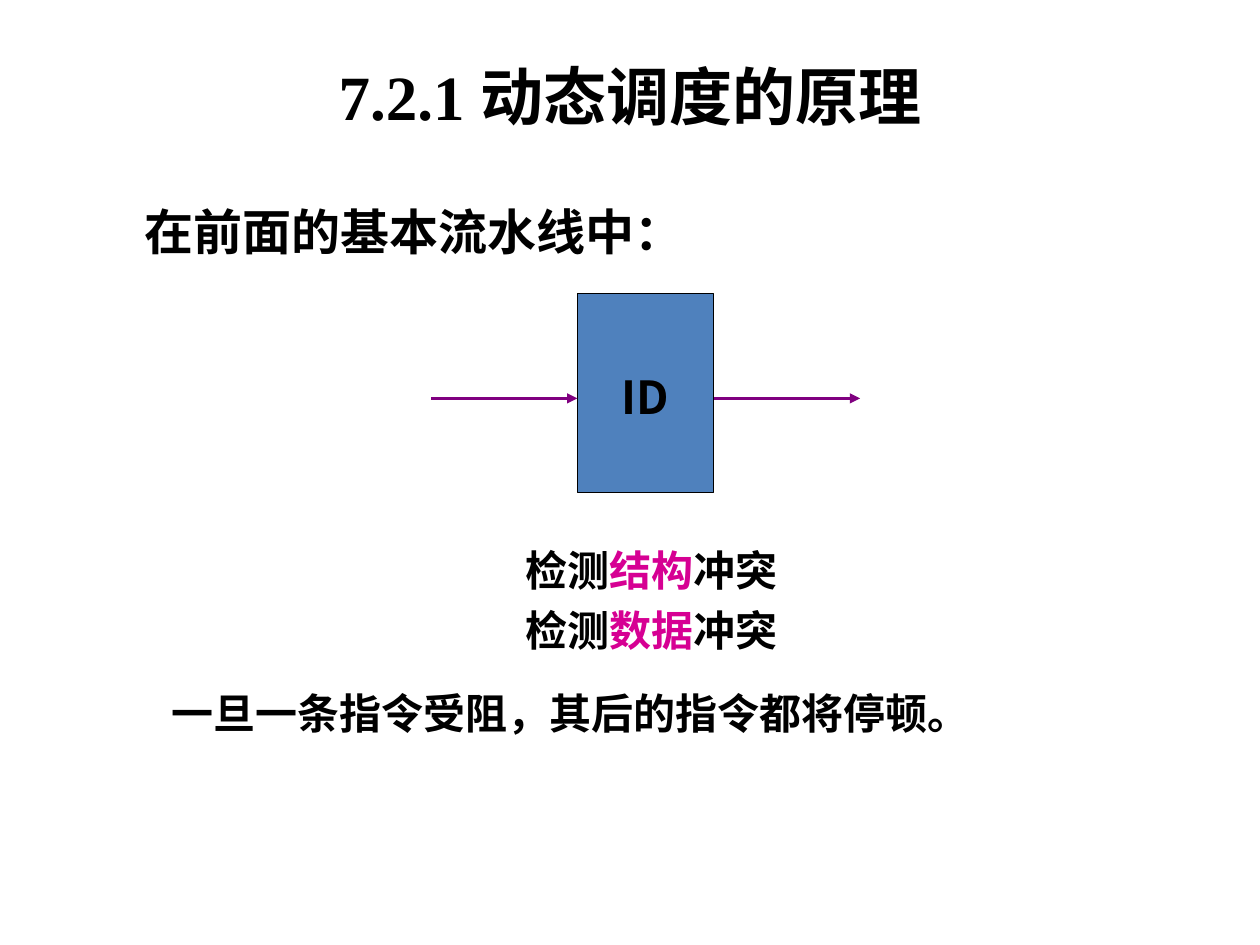
from dataclasses import dataclass

from lxml import etree
from pptx import Presentation
from pptx.dml.color import RGBColor
from pptx.enum.shapes import MSO_CONNECTOR, MSO_SHAPE
from pptx.enum.text import MSO_ANCHOR, PP_ALIGN
from pptx.oxml.ns import qn
from pptx.util import Cm, Pt

STRAIGHT = MSO_CONNECTOR.STRAIGHT
RECTANGLE = MSO_SHAPE.RECTANGLE
TOP, MIDDLE = MSO_ANCHOR.TOP, MSO_ANCHOR.MIDDLE
LEFT, CENTER = PP_ALIGN.LEFT, PP_ALIGN.CENTER


@dataclass(frozen=True)
class Theme:
    ink: str = "000000"
    accent: str = "D60093"
    stage: str = "4F81BD"
    arrow: str = "800080"
    title_size: int = 36
    lead_size: int = 28
    stage_size: int = 26
    note_size: int = 24
    title_font: str = "Times New Roman"
    heading_font: str = "Arial"
    lead_font: str = "Calibri"
    note_font: str = "Roboto"
    cjk_font: str = "Noto Sans CJK SC"


THEME = Theme()


def add_text(slide, paragraphs, box, *, size, font, align=LEFT, anchor=TOP,
             spacing=1.0, inset=0.25):
    """Each paragraph is a list of (text, format overrides) runs."""
    frame = slide.shapes.add_textbox(*map(Cm, box)).text_frame
    frame.word_wrap = True
    frame.vertical_anchor = anchor
    frame.margin_left = Cm(inset)
    for index, runs in enumerate(paragraphs):
        paragraph = frame.paragraphs[0] if index == 0 else frame.add_paragraph()
        paragraph.alignment = align
        paragraph.line_spacing = spacing
        for text, overrides in runs:
            run = paragraph.add_run()
            run.text = text
            run.font.size = Pt(size)
            run.font.bold = True
            run.font.name = overrides.get("font", font)
            run.font.color.rgb = RGBColor.from_string(
                overrides.get("color", THEME.ink))
            # East Asian typeface
            east_asian = etree.SubElement(run.font._element, qn("a:ea"))
            east_asian.set("typeface", THEME.cjk_font)


def add_stage(slide, box):
    stage = slide.shapes.add_shape(RECTANGLE, *map(Cm, box))
    stage.shadow.inherit = False
    stage.fill.solid()
    stage.fill.fore_color.rgb = RGBColor.from_string(THEME.stage)
    stage.line.color.rgb = RGBColor.from_string(THEME.ink)
    stage.line.width = Pt(0.75)


def add_arrow(slide, start, end, level):
    arrow = slide.shapes.add_connector(
        STRAIGHT, Cm(start), Cm(level), Cm(end), Cm(level))
    arrow.line.color.rgb = RGBColor.from_string(THEME.arrow)
    arrow.line.width = Pt(1.5)
    properties = arrow._element.spPr
    head = etree.SubElement(properties.find(qn("a:ln")), qn("a:tailEnd"))
    head.set("type", "triangle")
    etree.SubElement(properties, qn("a:effectLst"))


def main():
    deck = Presentation()
    deck.slide_width, deck.slide_height = Cm(25.4), Cm(19.05)
    slide = deck.slides.add_slide(deck.slide_layouts[6])

    # Lead-in
    add_text(slide, [[("在前面的基本流水线中：", {})]], (2.67, 3.94, 13, 1.6),
             size=THEME.lead_size, font=THEME.lead_font)

    # Decode stage with its input and output
    stage_left, stage_width, arrow_length = 11.64, 2.75, 2.95
    stage_right = stage_left + stage_width
    add_stage(slide, (stage_left, 5.92, stage_width, 4.01))
    add_text(slide, [[("ID", {})]], (12.27, 7.32, 3.38, 1.35),
             size=THEME.stage_size, font=THEME.cjk_font)
    for start in (stage_left - arrow_length, stage_right):
        add_arrow(slide, start, start + arrow_length, 8.03)

    # Hazards checked in the stage
    hazards = [[("检测", {}), (hazard, {"color": THEME.accent}), ("冲突", {})]
               for hazard in ("结构", "数据")]
    add_text(slide, hazards, (10.34, 10.64, 6.2, 2.69),
             size=THEME.note_size, font=THEME.note_font, spacing=1.2)

    # Consequence
    add_text(slide, [[("一旦一条指令受阻，其后的指令都将停顿。", {})]],
             (1.9, 13.54, 21.59, 3), size=THEME.note_size,
             font=THEME.note_font, spacing=1.2, inset=1.55)

    # Title
    add_text(slide, [[("7.2.1 ", {}),
                      ("动态调度的原理", {"font": THEME.heading_font})]],
             (1.27, 0.33, 22.86, 3.18), size=THEME.title_size,
             font=THEME.title_font, align=CENTER, anchor=MIDDLE)

    deck.save("out.pptx")


main()
